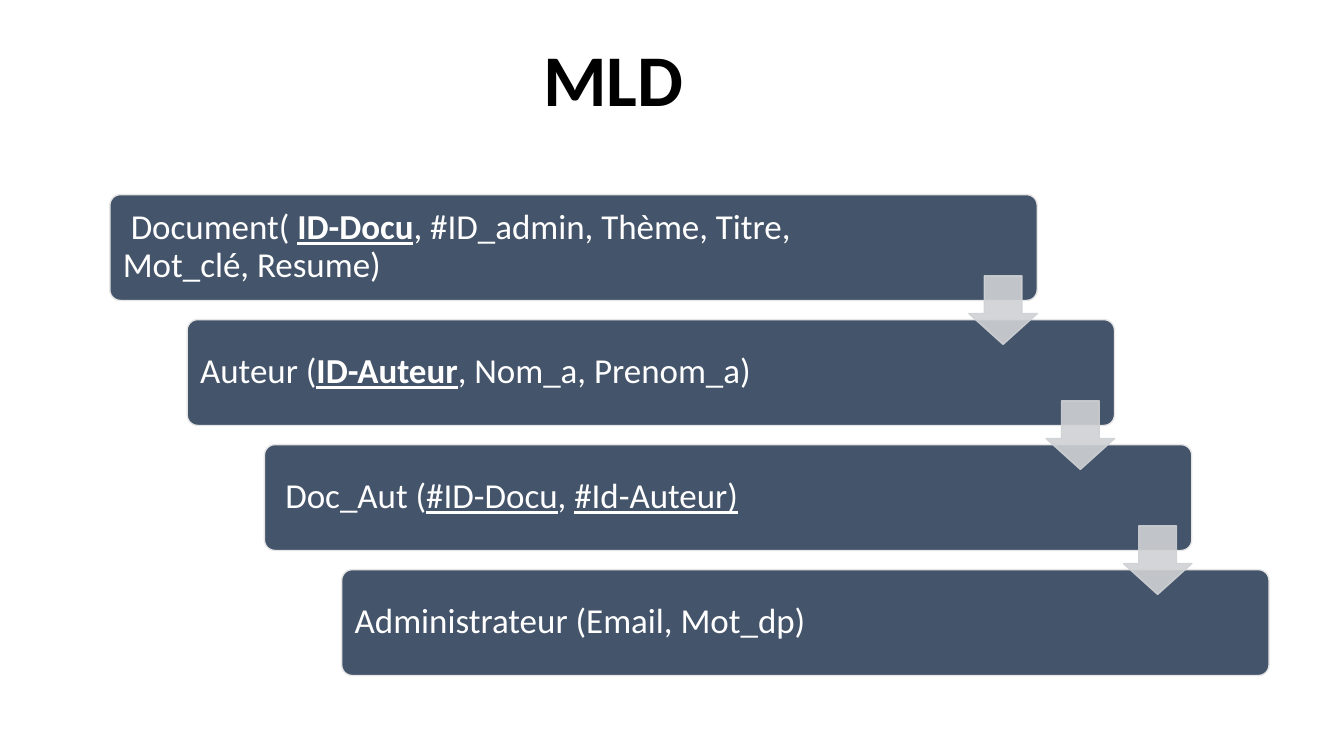
import pptx
import pptx.dml.color
import pptx.enum.shapes
import pptx.enum.text
import pptx.oxml.ns
import pptx.util
import lxml.etree

Pt = pptx.util.Pt
Shape = pptx.enum.shapes.MSO_SHAPE
Align = pptx.enum.text.PP_ALIGN
Anchor = pptx.enum.text.MSO_ANCHOR
qn = pptx.oxml.ns.qn

theme = {
    "font": "Calibri",
    "title_size": 52,
    "body_size": 25,
    "title": "000000",
    "text": "FFFFFF",
    "bar": "44546A",
    "bar_line": "E7E6E6",
    "arrow": "CFD1D4",
}


def write(frame, spans, *, size, color, align, space_after=0):
    frame.word_wrap = True
    frame.auto_size = pptx.enum.text.MSO_AUTO_SIZE.NONE
    frame.vertical_anchor = Anchor.MIDDLE
    para = frame.paragraphs[0]
    para.alignment = align
    para.line_spacing = 0.9
    para.space_after = Pt(space_after)
    for words, style in spans:
        span = para.add_run()
        span.text = words
        span.font.name = theme["font"]
        span.font.size = Pt(size)
        span.font.color.rgb = pptx.dml.color.RGBColor.from_string(color)
        span.font.bold = "b" in style
        span.font.underline = "u" in style


def add_block(kind, left, top, width, height, *, fill, line, adjustments):
    block = page.shapes.add_shape(kind, Pt(left), Pt(top), Pt(width), Pt(height))
    block.shadow.inherit = False
    block.fill.solid()
    block.fill.fore_color.rgb = pptx.dml.color.RGBColor.from_string(fill)
    block.line.color.rgb = pptx.dml.color.RGBColor.from_string(line)
    block.line.width = Pt(1)
    for index, value in enumerate(adjustments):
        block.adjustments[index] = value
    return block


deck = pptx.Presentation()
deck.slide_width = Pt(960)
deck.slide_height = Pt(540)
page = deck.slides.add_slide(deck.slide_layouts[5])

title = page.shapes.title
title.left, title.top, title.width, title.height = Pt(24), Pt(14.4), Pt(828), Pt(89.3)
write(title.text_frame, [("MLD", "b")], size=theme["title_size"],
      color=theme["title"], align=Align.CENTER)

relations = [
    [(" Document( ", ""), ("ID-Docu", "bu"),
     (", #ID_admin, Thème, Titre, Mot_clé, Resume)", "")],
    [("Auteur (", ""), ("ID-Auteur", "bu"), (", Nom_a, Prenom_a)", "")],
    [(" Doc_Aut (", ""), ("#ID-Docu", "u"), (", ", ""), ("#Id-Auteur)", "u")],
    [("Administrateur (Email, Mot_dp)", "")],
]
step_across, step_down = 55.2, 89.3

for row, spans in enumerate(relations):
    bar = add_block(Shape.ROUNDED_RECTANGLE, 78.5 + row * step_across,
                    139 + row * step_down, 662.4, 75.6, fill=theme["bar"],
                    line=theme["bar_line"], adjustments=[0.1])
    frame = bar.text_frame
    frame.margin_left = frame.margin_top = frame.margin_bottom = Pt(7.2)
    frame.margin_right = Pt(91)
    write(frame, spans, size=theme["body_size"], color=theme["text"],
          align=Align.LEFT, space_after=8.75)

for row in range(len(relations) - 1):
    arrow = add_block(Shape.DOWN_ARROW, 692 + row * step_across,
                      197 + row * step_down, 49, 49, fill=theme["arrow"],
                      line=theme["arrow"], adjustments=[0.55, 0.45])
    for color in arrow.element.spPr.iter(qn("a:srgbClr")):
        lxml.etree.SubElement(color, qn("a:alpha"), val="90000")

deck.save("out.pptx")
